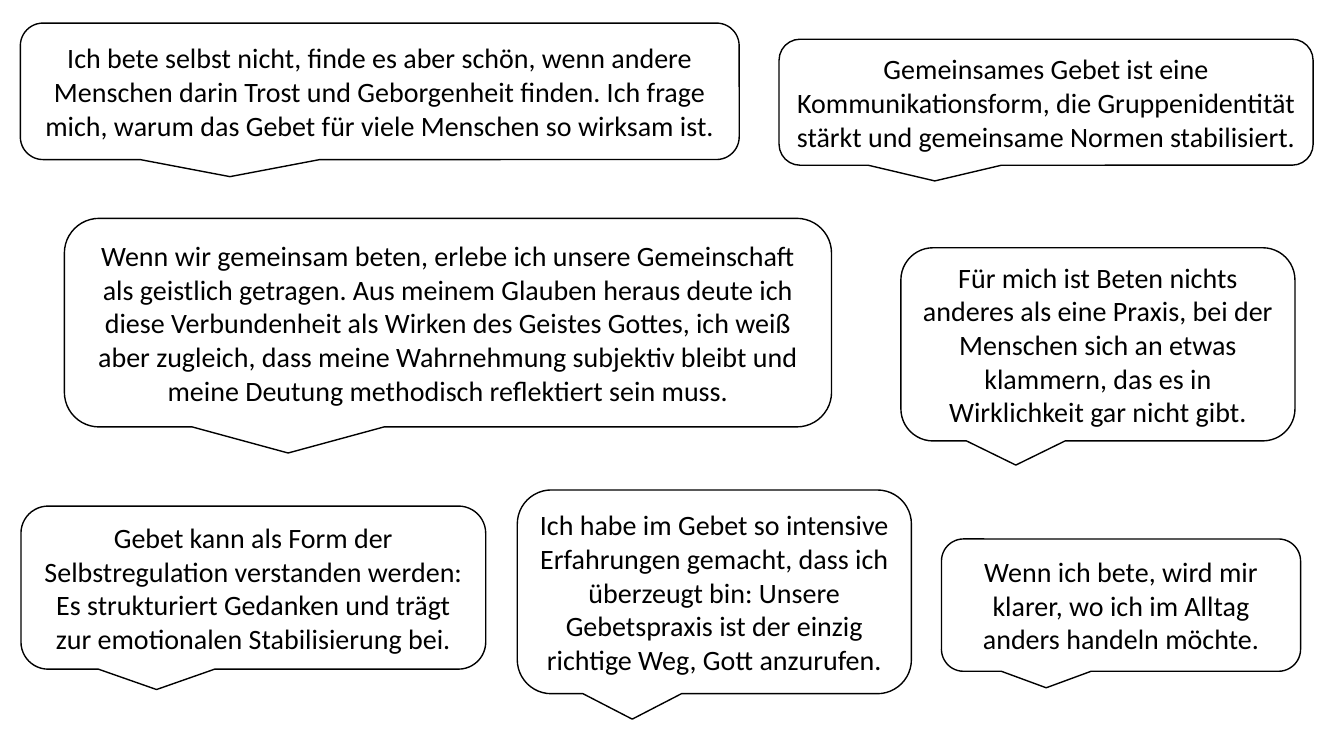
"""Build a slide of speech bubbles with views on prayer."""
from pptx import Presentation
from pptx.dml.color import RGBColor
from pptx.enum.shapes import MSO_SHAPE as Shape
from pptx.enum.text import MSO_ANCHOR as Anchor, PP_ALIGN as Align
from pptx.util import Pt

BLACK = RGBColor(0x00, 0x00, 0x00)
WHITE = RGBColor(0xFF, 0xFF, 0xFF)
FONT = "Calibri"
BLANK_LAYOUT = 6

BUBBLES = [
    (14.5, 16.5, 513.5, 97.5,
     "Ich bete selbst nicht, finde es aber schön, wenn andere Menschen darin "
     "Trost und Geborgenheit finden. Ich frage mich, warum das Gebet für viele "
     "Menschen so wirksam ist."),
    (556.5, 28, 381.5, 90,
     "Gemeinsames Gebet ist eine Kommunikationsform, die Gruppenidentität "
     "stärkt und gemeinsame Normen stabilisiert."),
    (672.5, 385, 256.5, 94.5,
     "Wenn ich bete, wird mir klarer, wo ich im Alltag anders handeln möchte."),
    (15, 361.5, 332, 116.5,
     "Gebet kann als Form der Selbstregulation verstanden werden: Es "
     "strukturiert Gedanken und trägt zur emotionalen Stabilisierung bei."),
    (643.5, 177, 281.5, 138,
     "Für mich ist Beten nichts anderes als eine Praxis, bei der Menschen sich "
     "an etwas klammern, das es in Wirklichkeit gar nicht gibt."),
    (369.5, 350, 281.5, 145.5,
     "Ich habe im Gebet so intensive Erfahrungen gemacht, dass ich überzeugt "
     "bin: Unsere Gebetspraxis ist der einzig richtige Weg, Gott anzurufen."),
    (46, 156, 548, 149,
     "Wenn wir gemeinsam beten, erlebe ich unsere Gemeinschaft als geistlich "
     "getragen. Aus meinem Glauben heraus deute ich diese Verbundenheit als "
     "Wirken des Geistes Gottes, ich weiß aber zugleich, dass meine Wahrnehmung "
     "subjektiv bleibt und meine Deutung methodisch reflektiert sein muss."),
]


def add_bubble(page, left, top, width, height, text):
    bubble = page.shapes.add_shape(
        Shape.ROUNDED_RECTANGULAR_CALLOUT,
        Pt(left), Pt(top), Pt(width), Pt(height))
    bubble.shadow.inherit = False
    bubble.fill.solid()
    bubble.fill.fore_color.rgb = WHITE
    bubble.line.color.rgb = BLACK
    bubble.line.width = Pt(1)
    frame = bubble.text_frame
    frame.word_wrap = True
    frame.vertical_anchor = Anchor.MIDDLE
    para = frame.paragraphs[0]
    para.text = text
    para.alignment = Align.CENTER
    para.font.name = FONT
    para.font.size = Pt(20)
    para.font.color.rgb = BLACK


def main():
    deck = Presentation()
    deck.slide_width, deck.slide_height = Pt(960), Pt(540)
    page = deck.slides.add_slide(deck.slide_layouts[BLANK_LAYOUT])
    for bubble in BUBBLES:
        add_bubble(page, *bubble)
    deck.save("out.pptx")


if __name__ == "__main__":
    main()
